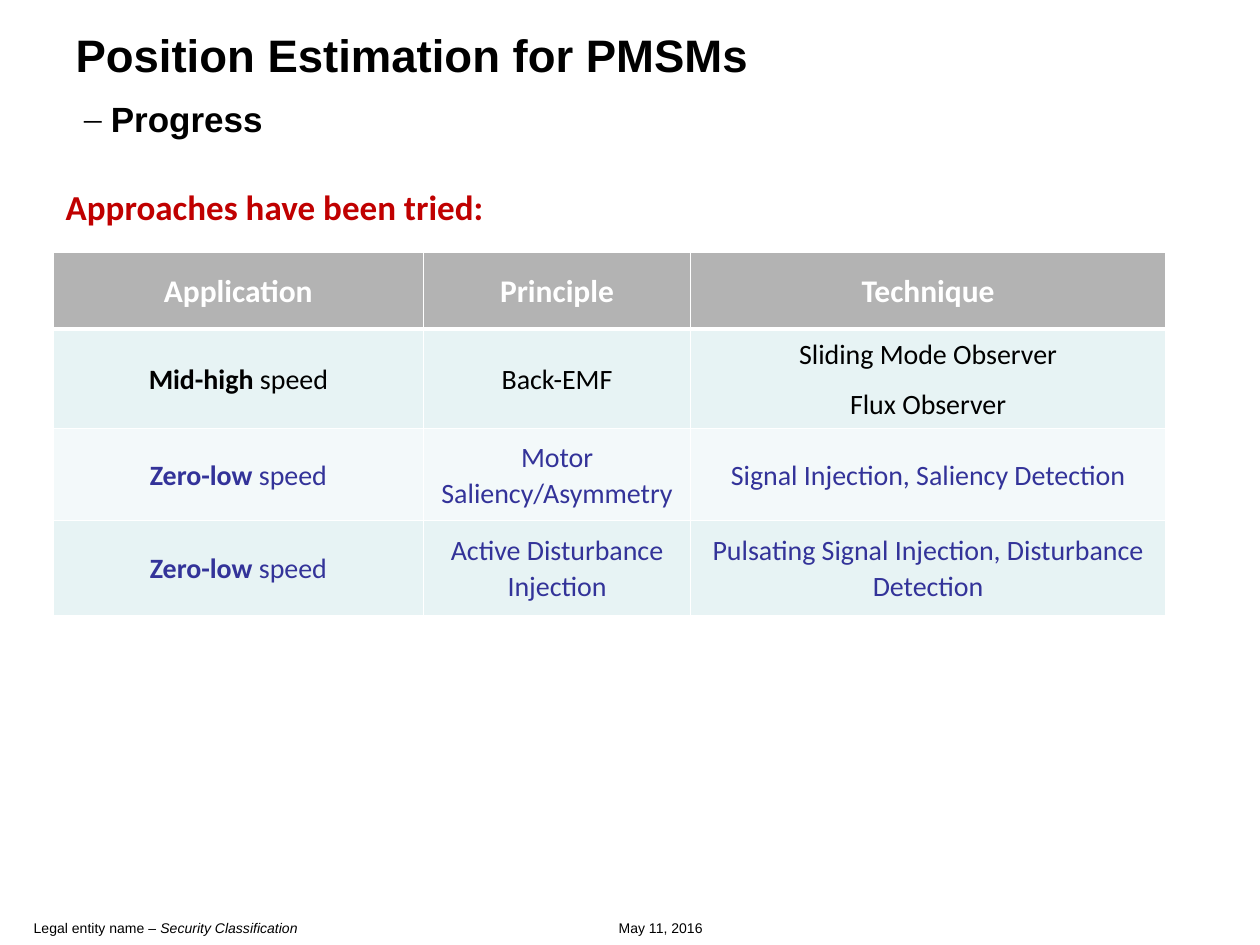
"""Build the slide on position estimation progress for PMSMs."""
from lxml import etree
from pptx import Presentation, util as u
from pptx.dml.color import RGBColor
from pptx.enum import text
from pptx.oxml import ns

BLACK, WHITE, RED, BLUE = "000000", "FFFFFF", "C00000", "333399"
GREY, TINT, PALE = "B3B3B3", "E7F3F4", "F3F9FA"
MID = text.PP_ALIGN.CENTER

HEAD = {"name": "Arial", "size": 26, "bold": True, "color": BLACK}
SUB = {**HEAD, "size": 20}
LEAD = {"name": "Calibri", "size": 20, "bold": True, "color": RED}
FOOT = {"name": "Arial", "size": 8, "color": BLACK}
TOP = {"name": "Calibri", "size": 18, "bold": True, "color": WHITE}
CELL = {"name": "Calibri", "size": 16, "bold": False}

COLS = [7.47, 5.38, 9.58]
ROWS = [
    (1.55, GREY, WHITE, ["Application", "Principle", "Technique"]),
    (1.98, TINT, BLACK, [("Mid-high", " speed"), "Back-EMF",
                         ["Sliding Mode Observer", "Flux Observer"]]),
    (1.85, PALE, BLUE, [("Zero-low", " speed"), "Motor Saliency/Asymmetry",
                        "Signal Injection, Saliency Detection"]),
    (1.91, TINT, BLUE, [("Zero-low", " speed"), "Active Disturbance Injection",
                        "Pulsating Signal Injection, Disturbance Detection"]),
]
FEET = [
    ((10.97, 18.42, 4.7, 0.64), MID, [("May 11, 2016", False)]),
    ((0.43, 18.42, 12.5, 0.91), text.PP_ALIGN.LEFT,
     [("Legal entity name – ", False), ("Security Classification", True)]),
]


def shade(hue):
    return RGBColor.from_string(hue)


def write(para, words, form):
    run = para.add_run()
    run.text = words
    for key, val in form.items():
        if key == "color":
            run.font.color.rgb = shade(val)
        else:
            setattr(run.font, key, u.Pt(val) if key == "size" else val)


def place(shape, box):
    for key, val in zip(("left", "top", "width", "height"), box):
        setattr(shape, key, u.Cm(val))
    shape.text_frame.word_wrap = True
    shape.text_frame.auto_size = text.MSO_AUTO_SIZE.NONE


def mark(para, sign=None, left=0, hang=0):
    prop = para._p.get_or_add_pPr()
    prop.set("marL", str(u.Cm(left)))
    prop.set("indent", str(-u.Cm(hang)))
    if sign:
        etree.SubElement(prop, ns.qn("a:buFont")).set("typeface", "Times New Roman")
        etree.SubElement(prop, ns.qn("a:buChar")).set("char", sign)
    else:
        etree.SubElement(prop, ns.qn("a:buNone"))


def edge(cell, base):
    prop = cell._tc.get_or_add_tcPr()
    for spot, (side, wide) in enumerate(zip("LRTB", (1, 1, base[0], base[1]))):
        line = etree.Element(ns.qn("a:ln" + side), w=str(u.Pt(wide)))
        fill = etree.SubElement(line, ns.qn("a:solidFill"))
        etree.SubElement(fill, ns.qn("a:srgbClr")).set("val", WHITE)
        prop.insert(spot, line)


def fill_cell(cell, item, form):
    cell.vertical_anchor = text.MSO_ANCHOR.MIDDLE
    frame = cell.text_frame
    for n, part in enumerate(item if isinstance(item, list) else [item]):
        para = frame.add_paragraph() if n else frame.paragraphs[0]
        para.alignment, para.line_spacing, para.space_after = MID, 1.07, u.Pt(8)
        if isinstance(part, tuple):
            write(para, part[0], {**form, "bold": True})
            part = part[1]
        write(para, part, form)


def main():
    deck = Presentation()
    deck.slide_width, deck.slide_height = u.Cm(25.4), u.Cm(19.05)
    slide = deck.slides.add_slide(deck.slide_layouts[1])

    for box, side, runs in FEET:
        foot = slide.shapes.add_textbox(0, 0, 0, 0)
        place(foot, box)
        para = foot.text_frame.paragraphs[0]
        para.alignment = side
        for words, slant in runs:
            write(para, words, {**FOOT, "italic": slant})

    title, body = slide.placeholders
    place(title, (1.27, 0.25, 16.51, 2.54))
    frame = title.text_frame
    frame.vertical_anchor = text.MSO_ANCHOR.MIDDLE
    first, second = frame.paragraphs[0], frame.add_paragraph()
    for para, words, form in ((first, "Position Estimation for PMSMs", HEAD),
                              (second, "Progress", SUB)):
        para.alignment, para.line_spacing = text.PP_ALIGN.LEFT, 1.3
        write(para, words, form)
    second.space_before = u.Pt(2)
    mark(second, "–", 0.71, 0.54)

    place(body, (1.07, 3.61, 21.39, 2.74))
    lead = body.text_frame.paragraphs[0]
    write(lead, "Approaches have been tried:", LEAD)
    mark(lead)

    grid = slide.shapes.add_table(
        len(ROWS), len(COLS), u.Cm(1.07), u.Cm(5.08),
        u.Cm(sum(COLS)), u.Cm(sum(row[0] for row in ROWS))).table
    for col, wide in zip(grid.columns, COLS):
        col.width = u.Cm(wide)
    for r, (high, back, ink, items) in enumerate(ROWS):
        grid.rows[r].height = u.Cm(high)
        form = {**(CELL if r else TOP), "color": ink}
        for c, item in enumerate(items):
            cell = grid.cell(r, c)
            cell.fill.solid()
            cell.fill.fore_color.rgb = shade(back)
            edge(cell, (3 if r == 1 else 1, 1 if r else 3))
            fill_cell(cell, item, form)

    deck.save("out.pptx")


if __name__ == "__main__":
    main()
